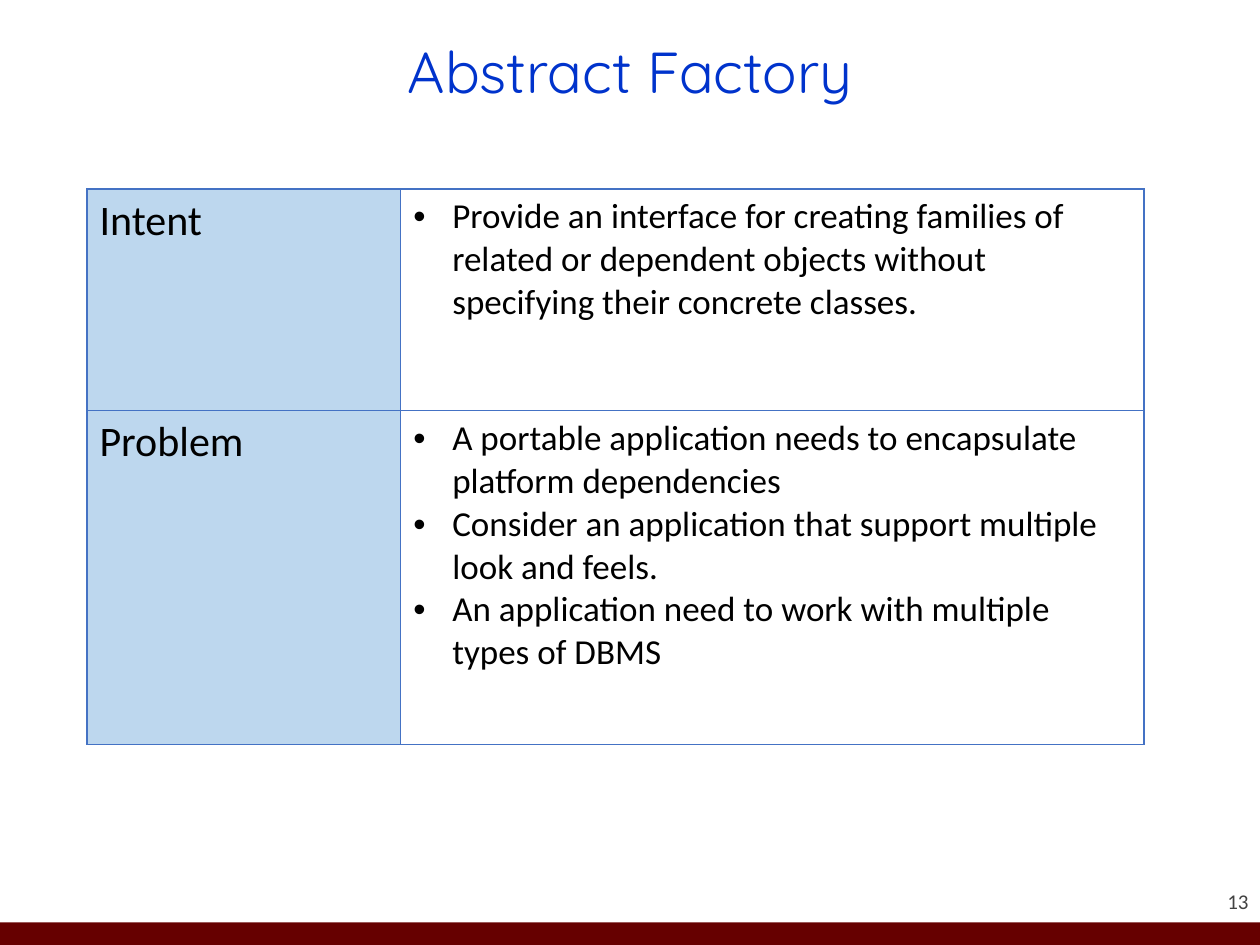
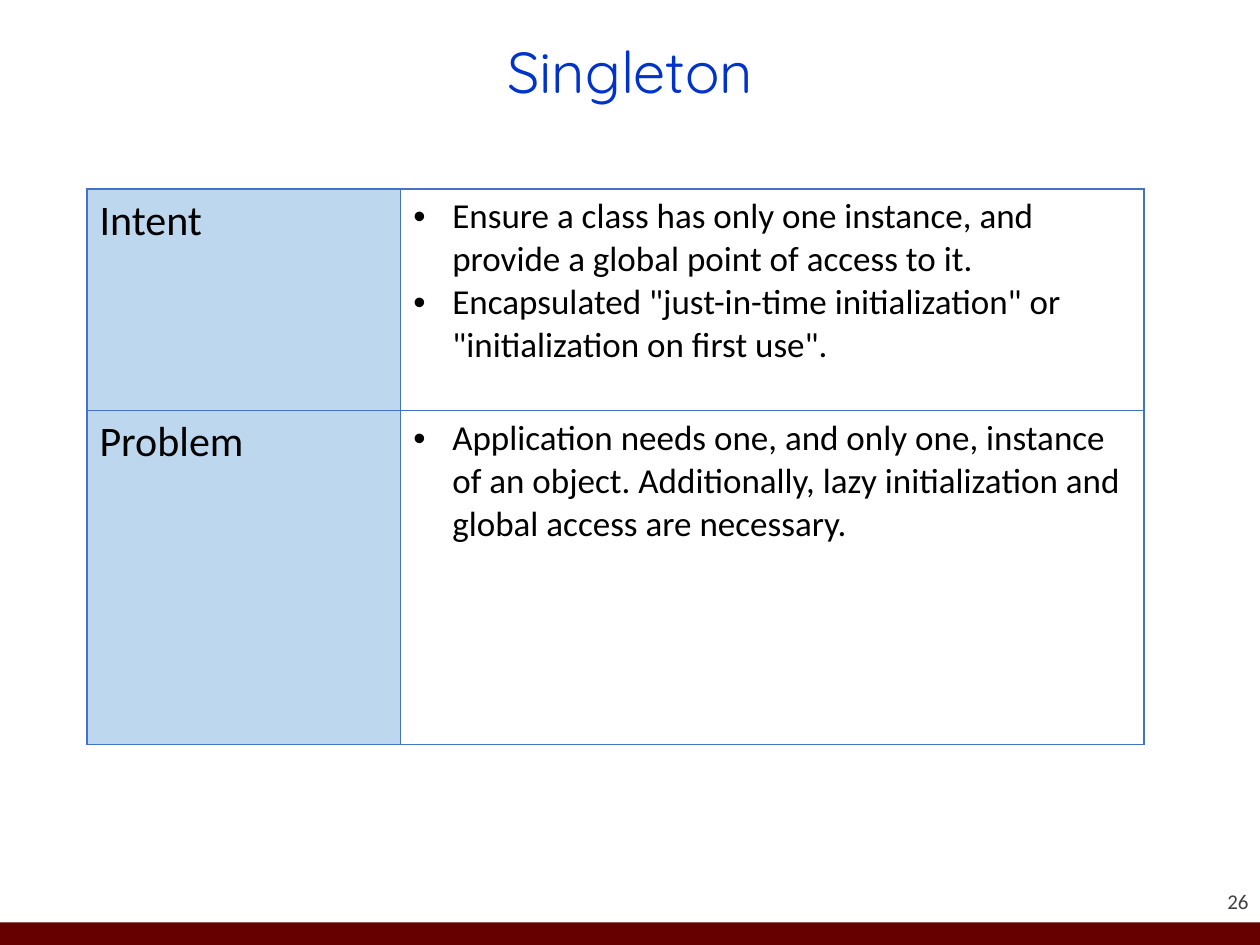
from dataclasses import dataclass

from lxml.etree import SubElement
from pptx import Presentation
from pptx.dml.color import RGBColor
from pptx.enum.shapes import MSO_SHAPE
from pptx.enum.text import MSO_ANCHOR, PP_ALIGN
from pptx.oxml.ns import qn
from pptx.slide import Slide
from pptx.table import _Cell
from pptx.text.text import TextFrame
from pptx.util import Inches, Pt


@dataclass(frozen=True)
class Theme:
    band: str = "660000"
    title: str = "0033CC"
    page: str = "424242"
    ink: str = "000000"
    label: str = "BDD7EE"
    plain: str = "FFFFFF"
    edge: str = "4472C4"
    head_font: str = "Quicksand"
    body_font: str = "Calibri"
    title_size: int = 33
    label_size: int = 24
    body_size: int = 20
    page_size: int = 12
    edge_size: int = 1


@dataclass(frozen=True)
class Row:
    label: str
    points: tuple[str, ...]


@dataclass(frozen=True)
class Pattern:
    title: str
    page: int
    rows: tuple[Row, ...]


THEME = Theme()
COLS = (2.49, 5.9)
ROWS = (1.76, 2.65)
INDENT = Inches(0.31)

PATTERNS = (
    Pattern("Abstract Factory", 13, (
        Row("Intent", (
            "Provide an interface for creating families of related or "
            "dependent objects without specifying their concrete classes.",
        )),
        Row("Problem", (
            "A portable application needs to encapsulate platform dependencies",
            "Consider an application that support multiple look and feels.",
            "An application need to work with multiple types of DBMS",
        )),
    )),
    Pattern("Singleton", 26, (
        Row("Intent", (
            "Ensure a class has only one instance, and provide a global "
            "point of access to it.",
            'Encapsulated "just-in-time initialization" or '
            '"initialization on first use".',
        )),
        Row("Problem", (
            "Application needs one, and only one, instance of an object. "
            "Additionally, lazy initialization and global access are necessary.",
        )),
    )),
)


def write(frame: TextFrame, *lines: str, size: int, color: str = THEME.ink,
          font: str = THEME.body_font, align: PP_ALIGN = PP_ALIGN.LEFT,
          spacing: float = 1.0, bullet: bool = False) -> None:
    frame.word_wrap = True
    for i, line in enumerate(lines):
        para = frame.add_paragraph() if i else frame.paragraphs[0]
        para.alignment = align
        para.line_spacing = spacing
        if bullet:
            props = para._p.get_or_add_pPr()
            props.set("marL", str(INDENT))
            props.set("indent", str(-INDENT))
            SubElement(props, qn("a:buFont"), typeface="Arial")
            SubElement(props, qn("a:buChar"), char="•")
        run = para.add_run()
        run.text = line
        run.font.name = font
        run.font.size = Pt(size)
        run.font.color.rgb = RGBColor.from_string(color)


def add_box(slide: Slide, left: float, top: float, width: float,
            height: float, anchor: MSO_ANCHOR) -> TextFrame:
    frame = slide.shapes.add_textbox(
        Inches(left), Inches(top), Inches(width), Inches(height)).text_frame
    frame.vertical_anchor = anchor
    return frame


def add_frame(slide: Slide, item: Pattern) -> None:
    band = slide.shapes.add_shape(
        MSO_SHAPE.RECTANGLE, 0, Inches(7.32), Inches(10), Inches(0.18))
    band.shadow.inherit = False
    band.fill.solid()
    band.fill.fore_color.rgb = RGBColor.from_string(THEME.band)
    band.line.fill.background()

    page = add_box(slide, 9.08, 6.85, 0.83, 0.4, MSO_ANCHOR.BOTTOM)
    page.margin_left = page.margin_right = 0
    page.margin_top = page.margin_bottom = 0
    write(page, str(item.page), size=THEME.page_size, color=THEME.page,
          align=PP_ALIGN.RIGHT)

    title = add_box(slide, 0.69, 0.12, 8.62, 0.94, MSO_ANCHOR.MIDDLE)
    write(title, item.title, size=THEME.title_size, color=THEME.title,
          font=THEME.head_font, align=PP_ALIGN.CENTER, spacing=0.9)


def style(cell: _Cell, fill: str) -> None:
    props = cell._tc.get_or_add_tcPr()
    for side in ("lnL", "lnR", "lnT", "lnB"):
        line = SubElement(props, qn(f"a:{side}"), w=str(Pt(THEME.edge_size)))
        solid = SubElement(line, qn("a:solidFill"))
        SubElement(solid, qn("a:srgbClr"), val=THEME.edge)
    cell.fill.solid()
    cell.fill.fore_color.rgb = RGBColor.from_string(fill)


def add_grid(slide: Slide, rows: tuple[Row, ...]) -> None:
    table = slide.shapes.add_table(
        len(rows), len(COLS), Inches(0.69), Inches(1.5),
        Inches(sum(COLS)), Inches(sum(ROWS))).table
    table.first_row = table.horz_banding = False
    for col, width in zip(table.columns, COLS):
        col.width = Inches(width)
    for i, (row, height) in enumerate(zip(rows, ROWS)):
        table.rows[i].height = Inches(height)
        label, body = table.cell(i, 0), table.cell(i, 1)
        style(label, THEME.label)
        style(body, THEME.plain)
        write(label.text_frame, row.label, size=THEME.label_size)
        write(body.text_frame, *row.points, size=THEME.body_size, bullet=True)


def main() -> None:
    deck = Presentation()
    deck.slide_width, deck.slide_height = Inches(10), Inches(7.5)
    for item in PATTERNS:
        slide = deck.slides.add_slide(deck.slide_layouts[6])
        add_frame(slide, item)
        add_grid(slide, item.rows)
    deck.save("out.pptx")


if __name__ == "__main__":
    main()
